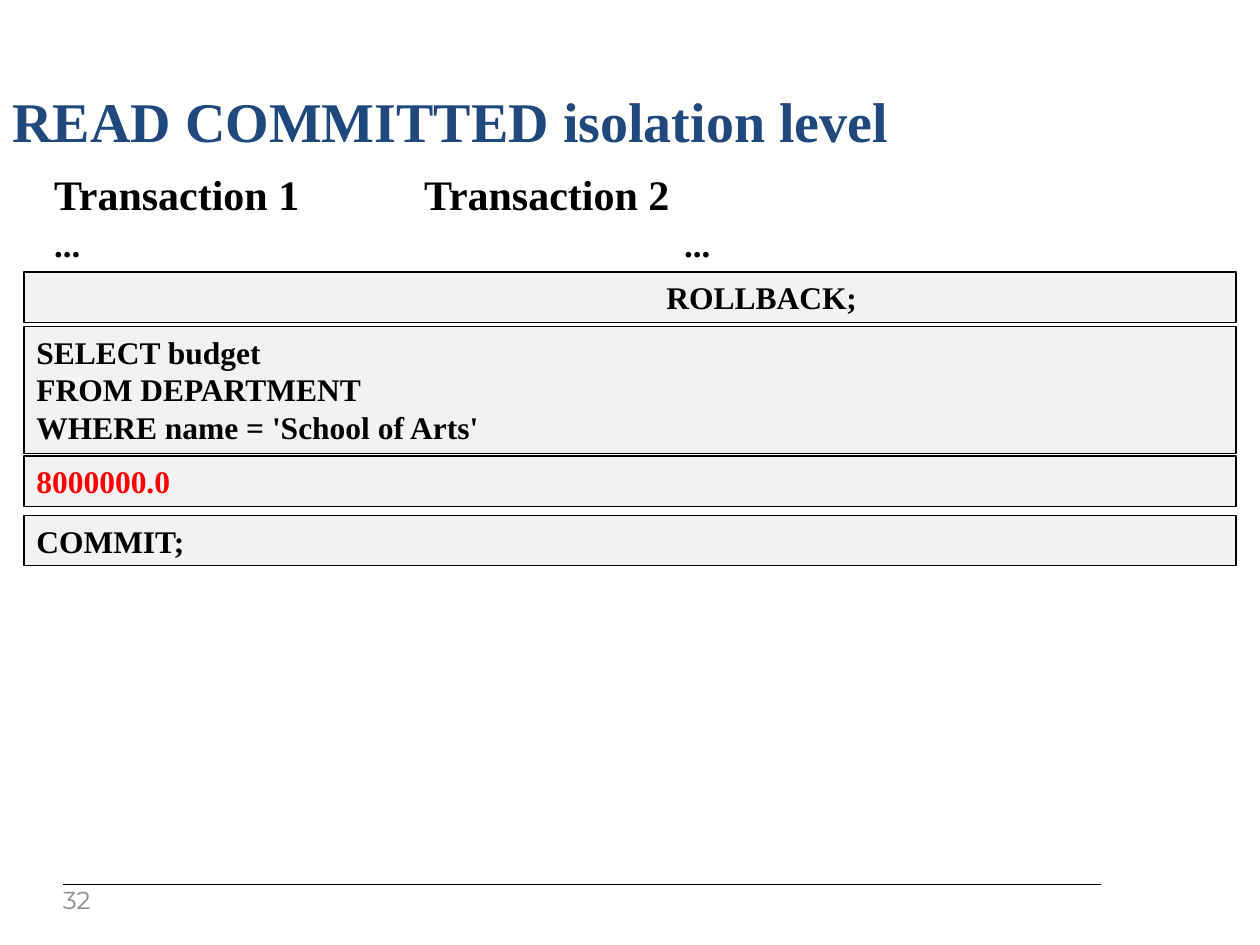
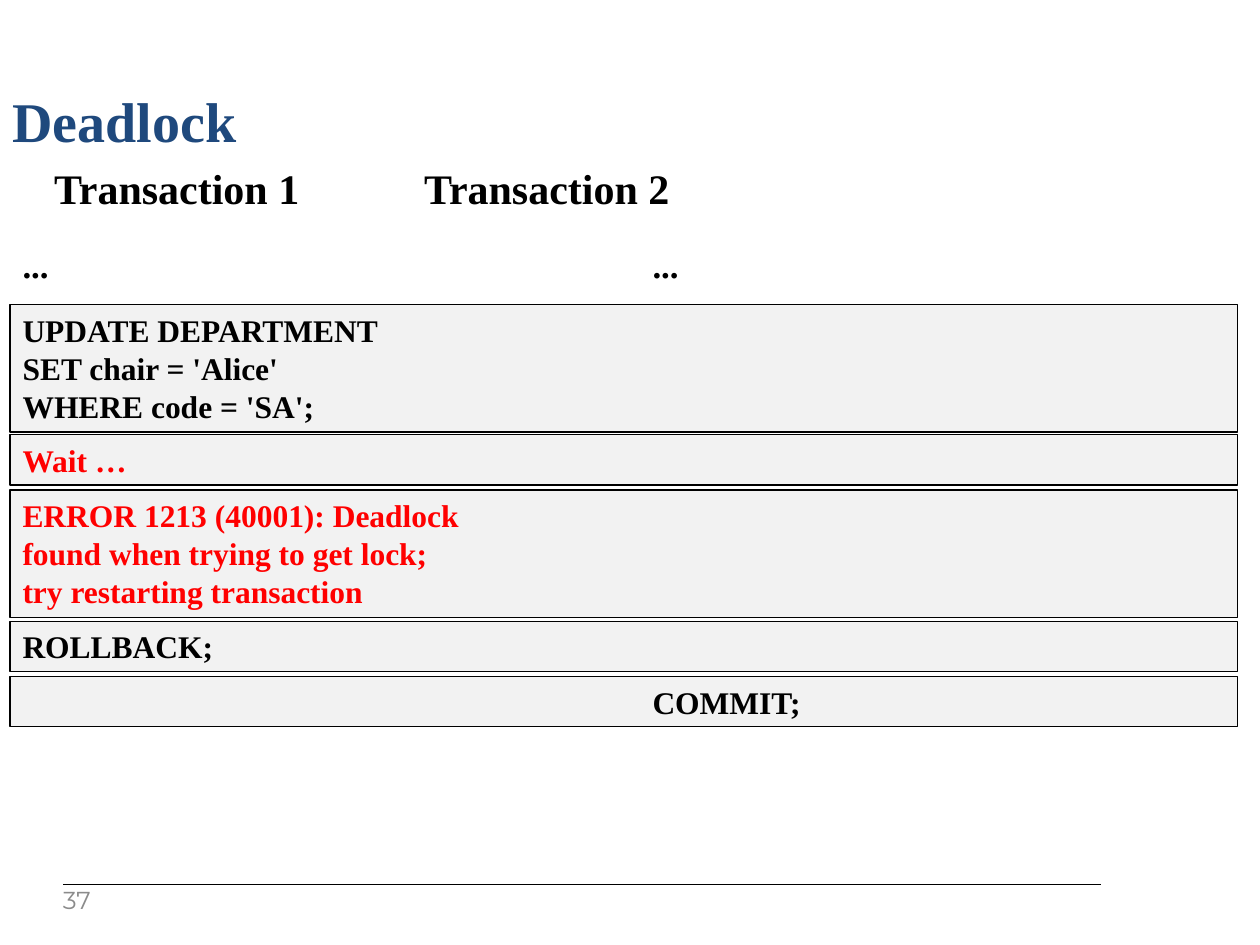
from dataclasses import dataclass

import lxml.etree
import pptx
import pptx.dml.color
import pptx.enum.shapes
import pptx.enum.text
import pptx.oxml.ns
import pptx.util

RGBColor = pptx.dml.color.RGBColor
Pt = pptx.util.Pt
qn = pptx.oxml.ns.qn
Anchor = pptx.enum.text.MSO_ANCHOR

BLACK = RGBColor(0x00, 0x00, 0x00)
NAVY = RGBColor(0x1F, 0x49, 0x7D)
RED = RGBColor(0xFF, 0x00, 0x00)
PANEL_GRAY = RGBColor(0xF2, 0xF2, 0xF2)
NUMBER_GRAY = RGBColor(0x8B, 0x8B, 0x8B)

SERIF = "Times New Roman"
SANS = "Montserrat"
SECOND_COLUMN = 360
SECOND_HEADING = 211.5
LINE_HEIGHT = 22
PANEL_PADDING = 6.8


@dataclass(frozen=True)
class Frame:
    left: float
    top: float
    width: float
    height: float

    def lengths(self) -> tuple:
        return tuple(Pt(value) for value in (self.left, self.top, self.width, self.height))


@dataclass(frozen=True)
class Style:
    size: float
    color: RGBColor = BLACK
    name: str = SERIF
    bold: bool = True
    tab: float = SECOND_COLUMN


@dataclass(frozen=True)
class Step:
    top: float
    lines: tuple[str, ...]
    color: RGBColor = BLACK


@dataclass(frozen=True)
class Schedule:
    title: str
    number: str
    heading_top: float
    dots: Frame
    steps_left: float
    steps_width: float
    steps: tuple[Step, ...]


TITLE = Style(32, NAVY)
HEADING = Style(24, tab=SECOND_HEADING)
DOTS = Style(20)
NUMBER = Style(14, NUMBER_GRAY, SANS, bold=False)

SCHEDULES = (
    Schedule(
        "READ COMMITTED isolation level", "32", 92.9,
        Frame(23.8, 123.8, 672, 31), 13.7, 692.6,
        (
            Step(155.5, ("\tROLLBACK;",)),
            Step(186.5, ("SELECT budget", "FROM DEPARTMENT", "WHERE name = 'School of Arts'")),
            Step(260.6, ("8000000.0",), RED),
            Step(294.5, ("COMMIT;",)),
        ),
    ),
    Schedule(
        "Deadlock", "37", 89.3,
        Frame(5.8, 135.4, 701.3, 31), 5.8, 701.3,
        (
            Step(174.2, ("UPDATE DEPARTMENT", "SET chair = 'Alice'", "WHERE code = 'SA';")),
            Step(248.4, ("Wait …",), RED),
            Step(280.1, (
                "ERROR 1213 (40001): Deadlock",
                "found when trying to get lock;",
                "try restarting transaction",
            ), RED),
            Step(355, ("ROLLBACK;",)),
            Step(386.6, ("\tCOMMIT;",)),
        ),
    ),
)


def write_lines(box, lines: tuple[str, ...], style: Style, anchor=Anchor.TOP, grow: bool = True) -> None:
    text = box.text_frame
    text.word_wrap = True
    text.vertical_anchor = anchor
    if grow:
        text.auto_size = pptx.enum.text.MSO_AUTO_SIZE.SHAPE_TO_FIT_TEXT
    for index, line in enumerate(lines):
        para = text.add_paragraph() if index else text.paragraphs[0]
        para.alignment = pptx.enum.text.PP_ALIGN.LEFT
        if "\t" in line:
            tabs = lxml.etree.SubElement(para._p.get_or_add_pPr(), qn("a:tabLst"))
            lxml.etree.SubElement(tabs, qn("a:tab"), pos=str(Pt(style.tab)), algn="l")
        para.font.name = style.name
        para.font.size = Pt(style.size)
        para.font.bold = style.bold
        para.font.color.rgb = style.color
        para.add_run().text = line


def add_label(page, frame: Frame, line: str, style: Style, anchor=Anchor.TOP, grow: bool = True):
    box = page.shapes.add_textbox(*frame.lengths())
    write_lines(box, (line,), style, anchor, grow)
    return box


def add_step(page, schedule: Schedule, step: Step) -> None:
    height = LINE_HEIGHT * len(step.lines) + PANEL_PADDING
    frame = Frame(schedule.steps_left, step.top, schedule.steps_width, height)
    panel = page.shapes.add_shape(pptx.enum.shapes.MSO_SHAPE.RECTANGLE, *frame.lengths())
    panel.shadow.inherit = False
    panel.fill.solid()
    panel.fill.fore_color.rgb = PANEL_GRAY
    panel.line.color.rgb = BLACK
    panel.line.width = Pt(0.75)
    write_lines(panel, step.lines, Style(18, step.color))


def add_footer(page, number: str) -> None:
    rule = page.shapes.add_connector(
        pptx.enum.shapes.MSO_CONNECTOR.STRAIGHT, Pt(36), Pt(505.4), Pt(629.3), Pt(505.4)
    )
    rule.line.color.rgb = BLACK
    rule.line.width = Pt(0.75)
    lxml.etree.SubElement(rule._element.spPr, qn("a:effectLst"))
    box = add_label(page, Frame(36, 508.3, 28.8, 15.1), number, NUMBER, Anchor.MIDDLE, grow=False)
    box.text_frame.margin_left = box.text_frame.margin_top = Pt(0)


def add_schedule(deck, schedule: Schedule) -> None:
    page = deck.slides.add_slide(deck.slide_layouts[6])
    add_footer(page, schedule.number)
    add_label(page, Frame(0, 44.6, 720, 48.2), schedule.title, TITLE, Anchor.MIDDLE, grow=False)
    add_label(page, Frame(23.8, schedule.heading_top, 672, 36), "Transaction 1\tTransaction 2", HEADING)
    add_label(page, schedule.dots, "...\t...", DOTS)
    for step in schedule.steps:
        add_step(page, schedule, step)


def main() -> None:
    deck = pptx.Presentation()
    deck.slide_width = Pt(720)
    deck.slide_height = Pt(540)
    for schedule in SCHEDULES:
        add_schedule(deck, schedule)
    deck.save("out.pptx")


if __name__ == "__main__":
    main()
